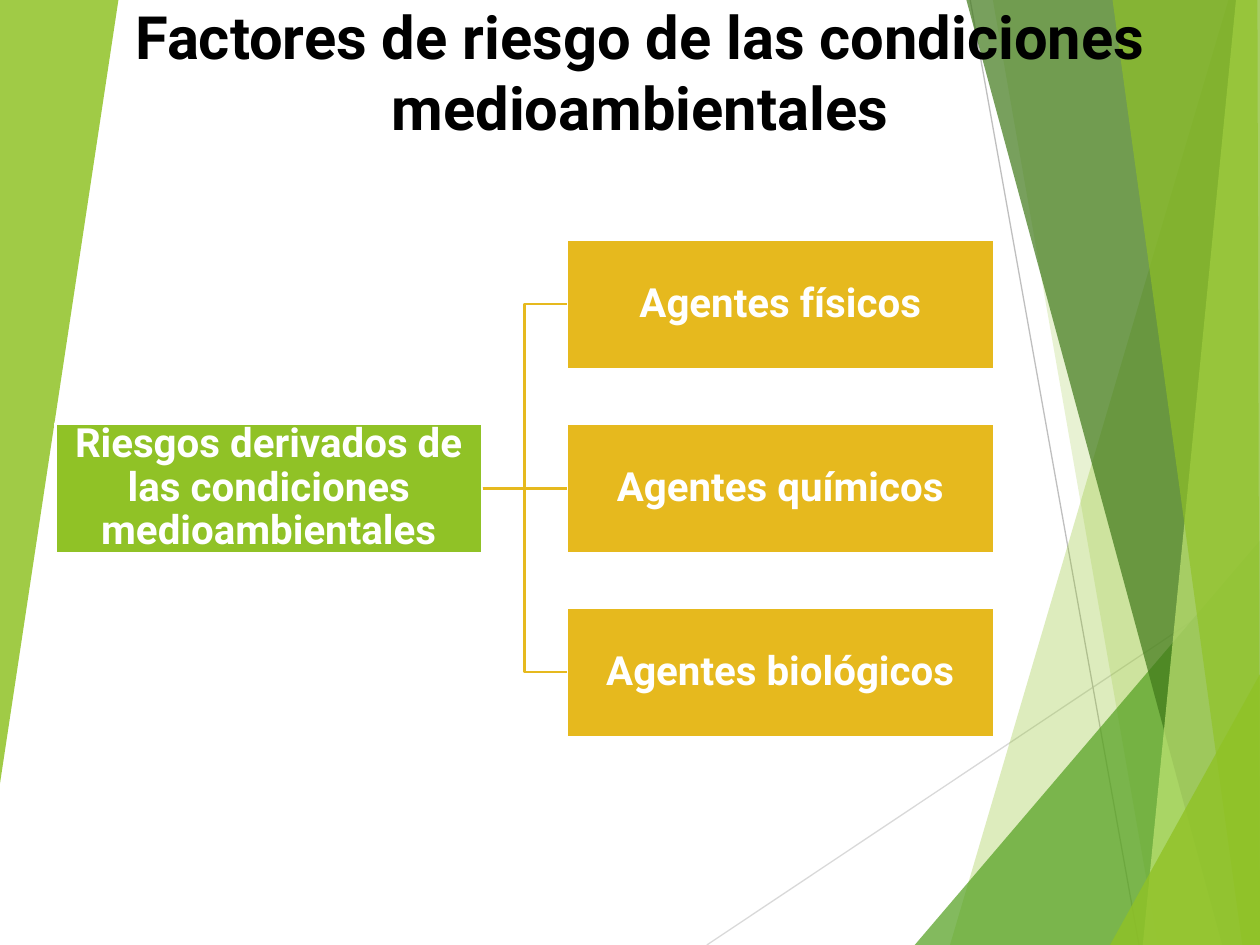
from dataclasses import dataclass

from lxml.etree import SubElement
from pptx import Presentation
from pptx.dml.color import RGBColor
from pptx.enum.shapes import MSO_CONNECTOR, MSO_SHAPE
from pptx.enum.text import MSO_ANCHOR, PP_ALIGN
from pptx.oxml.ns import qn
from pptx.util import Pt

PX = 9144
WIDTH, HEIGHT = 1000, 750
FONT = "Roboto"
RECTANGLE = MSO_SHAPE.RECTANGLE
STRAIGHT, ELBOW = MSO_CONNECTOR.STRAIGHT, MSO_CONNECTOR.ELBOW
MIDDLE, CENTER = MSO_ANCHOR.MIDDLE, PP_ALIGN.CENTER
LEFT_SIDE, RIGHT_SIDE = 1, 3
COLORS = {
    "lime": "90C226", "green": "54A021", "forest": "3F7819", "pale": "C0E474",
    "gold": "E6B91E", "white": "FFFFFF", "black": "000000",
    "light gray": "D9D9D9", "gray": "BFBFBF",
}


@dataclass(frozen=True)
class Ray:
    start: tuple[int, int]
    end: tuple[int, int]
    color: str


@dataclass(frozen=True)
class Facet:
    points: tuple[tuple[int, int], ...]
    color: str
    opacity: int


@dataclass(frozen=True)
class Node:
    text: str
    left: int
    top: int
    color: str


NODE_WIDTH, NODE_HEIGHT = 339, 103
AGENT_LEFT, AGENT_TOP, AGENT_STEP = 450, 190, 146
ROOT = Node("Riesgos derivados de las condiciones medioambientales",
            44, AGENT_TOP + AGENT_STEP, "lime")
AGENTS = [
    Node(f"Agentes {kind}", AGENT_LEFT, AGENT_TOP + row * AGENT_STEP, "gold")
    for row, kind in enumerate(("físicos", "químicos", "biológicos"))
]
RAYS = [
    Ray((561, HEIGHT), (WIDTH, 457), "light gray"),
    Ray((770, 0), (904, HEIGHT), "gray"),
]
TOP_RIGHT, BOTTOM_RIGHT = (WIDTH, 0), (WIDTH, HEIGHT)
FACETS = [
    Facet(((975, 0), (754, HEIGHT), BOTTOM_RIGHT, TOP_RIGHT), "lime", 30),
    Facet(((788, 0), (919, HEIGHT), BOTTOM_RIGHT, TOP_RIGHT), "lime", 20),
    Facet(((726, HEIGHT), (WIDTH, 429), BOTTOM_RIGHT), "green", 72),
    Facet(((767, 0), (970, HEIGHT), BOTTOM_RIGHT, TOP_RIGHT), "forest", 70),
    Facet(((981, 0), (907, HEIGHT), BOTTOM_RIGHT, TOP_RIGHT), "pale", 70),
    Facet(((883, 0), (986, HEIGHT), BOTTOM_RIGHT, (998, 0)), "lime", 65),
    Facet(((881, HEIGHT), (WIDTH, 535), BOTTOM_RIGHT), "lime", 80),
    Facet(((0, 0), (94, 0), (0, 622)), "lime", 85),
]


def rgb(name: str) -> RGBColor:
    """Return the named color."""
    return RGBColor.from_string(COLORS[name])


def write_text(shape, text: str, *, size: float, color: str,
               inset: tuple[int, int] = (10, 5), spacing: float = 1.0) -> None:
    """Write one bold, centred paragraph into a shape."""
    frame = shape.text_frame
    frame.word_wrap = True
    frame.vertical_anchor = MIDDLE
    frame.margin_left = frame.margin_right = inset[0] * PX
    frame.margin_top = frame.margin_bottom = inset[1] * PX
    para = frame.paragraphs[0]
    para.alignment = CENTER
    para.line_spacing = spacing
    span = para.add_run()
    span.text = text
    span.font.name = FONT
    span.font.size = Pt(size)
    span.font.bold = True
    span.font.color.rgb = rgb(color)


def style_connector(connector, color: str, weight: float) -> None:
    """Color a connector and remove its shadow."""
    connector.line.color.rgb = rgb(color)
    connector.line.width = Pt(weight)
    SubElement(connector._element.spPr, qn("a:effectLst"))


def draw_ray(page, ray: Ray) -> None:
    """Draw a thin background line."""
    ends = [value * PX for value in ray.start + ray.end]
    style_connector(page.shapes.add_connector(STRAIGHT, *ends), ray.color, 0.75)


def draw_facet(page, facet: Facet) -> None:
    """Draw a translucent background polygon."""
    first, *others = facet.points
    builder = page.shapes.build_freeform(*first, scale=PX)
    builder.add_line_segments(others, close=True)
    shape = builder.convert_to_shape()
    shape.shadow.inherit = False
    shape.line.fill.background()
    shape.fill.solid()
    shape.fill.fore_color.rgb = rgb(facet.color)
    tint = shape._element.spPr.find(qn("a:solidFill"))[0]
    SubElement(tint, qn("a:alpha"), val=str(facet.opacity * 1000))


def draw_node(page, node: Node):
    """Draw one labelled box of the hierarchy."""
    box = page.shapes.add_shape(RECTANGLE, node.left * PX, node.top * PX,
                                NODE_WIDTH * PX, NODE_HEIGHT * PX)
    box.shadow.inherit = False
    box.fill.solid()
    box.fill.fore_color.rgb = rgb(node.color)
    box.line.color.rgb = rgb("white")
    box.line.width = Pt(1.5)
    write_text(box, node.text, size=23, color="white", inset=(2, 2), spacing=0.9)
    return box


def join_nodes(page, parent, child) -> None:
    """Connect the right side of a parent to the left side of a child."""
    kind = STRAIGHT if parent.top == child.top else ELBOW
    connector = page.shapes.add_connector(kind, 0, 0, 0, 0)
    connector.begin_connect(parent, RIGHT_SIDE)
    connector.end_connect(child, LEFT_SIDE)
    style_connector(connector, "gold", 1.5)


def main() -> None:
    """Build the slide and save it."""
    deck = Presentation()
    deck.slide_width, deck.slide_height = WIDTH * PX, HEIGHT * PX
    page = deck.slides.add_slide(deck.slide_layouts[6])
    for ray in RAYS:
        draw_ray(page, ray)
    for facet in FACETS:
        draw_facet(page, facet)
    title = page.shapes.add_textbox(16 * PX, 5 * PX, 984 * PX, 103 * PX)
    write_text(title, "Factores de riesgo de las condiciones medioambientales",
               size=34.1, color="black")
    root = draw_node(page, ROOT)
    for agent in AGENTS:
        join_nodes(page, root, draw_node(page, agent))
    deck.save("out.pptx")


if __name__ == "__main__":
    main()
